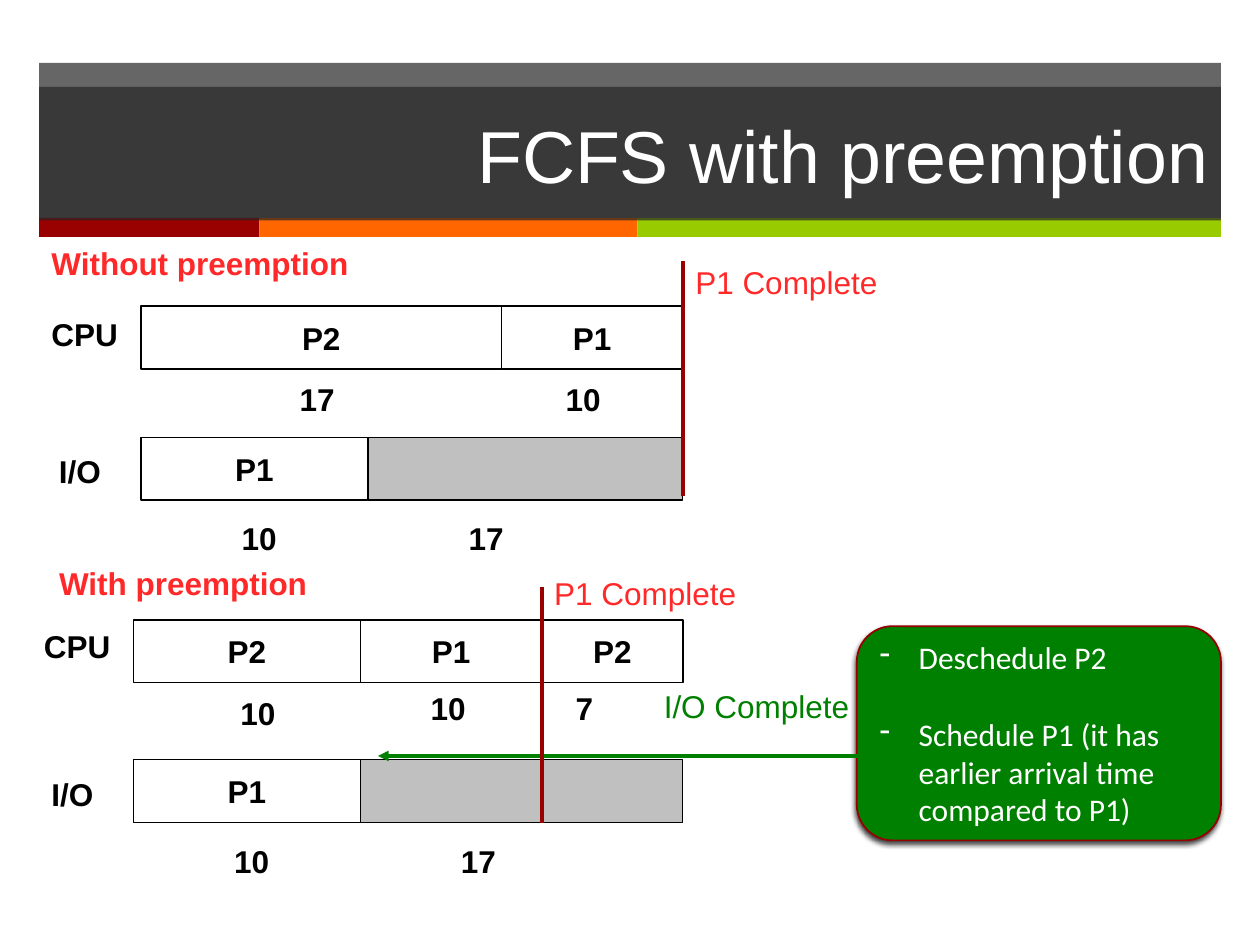
from lxml import etree
from pptx import Presentation, util as u
from pptx.dml.color import RGBColor
from pptx.enum import shapes as kinds, text as t
from pptx.oxml import parse_xml
from pptx.oxml.ns import qn

NS = 'xmlns:a="http://schemas.openxmlformats.org/drawingml/2006/main"'
WIDTH, HEIGHT = 10, 7.5
MARGIN, BAND_WIDTH = 0.31, 9.38
BAR_HEIGHT, LABEL_HEIGHT = 0.5, 0.4
BLACK, WHITE, RED, GREEN = "000000", "FFFFFF", "FF2929", "008000"
DARK, MAROON, GREY = "262626", "990000", "C0C0C0"

TITLE = "FCFS with preemption"
STRIPES = [(1.75, MAROON), (3, "FF6600"), (4.63, "99CC00")]
# Lane: name, name position, top, bars (text, width), durations (text, left, top)
TIMELINES = [
    dict(heading=("Without preemption", 0.31, 1.89, 2.58), left=1.12, lanes=[
        ("CPU", (0.31, 2.45, 0.73), 2.43, [("P2", 2.86), ("P1", 1.44)],
         [("17", 2.28, 2.97), ("10", 4.39, 2.97)]),
        ("I/O", (0.37, 3.54, 0.53), 3.47, [("P1", 1.8), ("", 2.5)],
         [("10", 1.82, 4.07), ("17", 3.62, 4.07)])]),
    dict(heading=("With preemption", 0.37, 4.43, 2.19), left=1.06, lanes=[
        ("CPU", (0.25, 4.93, 0.73), 4.92, [("P2", 1.8), ("P1", 1.44), ("P2", 1.12)],
         [("10", 1.81, 5.46), ("10", 3.32, 5.42), ("7", 4.47, 5.42)]),
        ("I/O", (0.31, 6.1, 0.53), 6.03, [("P1", 1.8), ("", 2.56)],
         [("10", 1.76, 6.63), ("17", 3.56, 6.63)])]),
]
COMPLETIONS = [(5.42, 2.07, 2.04), (4.3, 4.66, 4.51)]  # x, line top, label top
MARK_LENGTH = 1.87
ACTIONS = ["Deschedule P2", "Schedule P1 (it has earlier arrival time compared to P1)"]
ARROW_START = (6.81, 5.8)
ARROW_CURVES = [((6.21, 5.82), (4.78, 5.72), (4.13, 5.76)),
                ((3.47, 5.8), (3.02, 5.98), (2.86, 6.03))]


def color(value):
    return RGBColor.from_string(value)


def inches(*values):
    return [u.Inches(value) for value in values]


def write(para, words, ink=BLACK, **formats):
    span = para.add_run()
    span.text = words
    for name, value in (dict(name="Arial", size=u.Pt(18)) | formats).items():
        setattr(span.font, name, value)
    span.font.color.rgb = color(ink)


def paint(shape, fill=None, line=None, weight=0.75, alpha=None):
    if fill:
        shape.fill.solid()
        shape.fill.fore_color.rgb = color(fill)
    else:
        shape.fill.background()
    if alpha:
        tint = shape.fill._xPr.find(".//" + qn("a:srgbClr"))
        etree.SubElement(tint, qn("a:alpha")).set("val", str(alpha * 1000))
    if line:
        shape.line.color.rgb = color(line)
        shape.line.width = u.Pt(weight)
    else:
        shape.line.fill.background()


def add_box(page, place, kind=kinds.MSO_SHAPE.RECTANGLE, **look):
    box = page.shapes.add_shape(kind, *inches(*place))
    box.shadow.inherit = False
    paint(box, **look)
    return box


def add_label(page, words, left, top, width, ink=BLACK, bold=True, wrap=False):
    box = page.shapes.add_textbox(*inches(left, top, width, LABEL_HEIGHT))
    box.text_frame.word_wrap = wrap
    write(box.text_frame.paragraphs[0], words, ink, bold=bold)


def add_header(page):
    add_box(page, (MARGIN, 0.5, BAND_WIDTH, 1.24), fill=DARK, alpha=70)
    left = MARGIN
    for width, fill in STRIPES:
        add_box(page, (left, 1.73, width, 0.15), fill=fill)
        left += width
    title = page.shapes.title
    title.left, title.top, title.width, title.height = inches(MARGIN, 0.69, BAND_WIDTH, 1.06)
    paint(title, fill=DARK, alpha=70)
    title.text_frame.vertical_anchor = t.MSO_ANCHOR.MIDDLE
    para = title.text_frame.paragraphs[0]
    para.alignment = t.PP_ALIGN.RIGHT
    write(para, TITLE, WHITE, size=u.Pt(42))
    page.shapes._spTree.append(title._element)  # in front of the band and stripes


def add_timeline(page, heading, left, lanes):
    add_label(page, *heading, ink=RED)
    for name, name_place, top, bars, durations in lanes:
        add_label(page, name, *name_place)
        bar_left = left
        for words, width in bars:
            bar = add_box(page, (bar_left, top, width, BAR_HEIGHT),
                          fill=None if words else GREY, line=BLACK)
            bar_left += width
            if words:
                frame = bar.text_frame
                frame.word_wrap = False
                frame.vertical_anchor = t.MSO_ANCHOR.MIDDLE
                frame.paragraphs[0].alignment = t.PP_ALIGN.CENTER
                write(frame.paragraphs[0], words, bold=True)
        for words, x, y in durations:
            add_label(page, words, x, y, 0.34 if len(words) == 1 else 0.48)


def add_callout(page):
    box = add_box(page, (6.8, 4.97, 2.89, 1.7), kinds.MSO_SHAPE.ROUNDED_RECTANGLE,
                  fill=GREEN, line="960000", weight=1)
    box._element.spPr.find(qn("a:effectLst")).append(parse_xml(
        f'<a:outerShdw {NS} blurRad="38100" dist="25400" dir="6600000" rotWithShape="0">'
        '<a:srgbClr val="000000"><a:alpha val="75000"/></a:srgbClr></a:outerShdw>'))
    frame = box.text_frame
    frame.word_wrap = True
    frame.vertical_anchor = t.MSO_ANCHOR.MIDDLE
    for number, words in enumerate(ACTIONS):
        para = frame.add_paragraph() if number else frame.paragraphs[0]
        props = para._p.get_or_add_pPr()
        props.set("marL", str(u.Inches(0.31)))
        props.set("indent", str(-u.Inches(0.31)))
        etree.SubElement(props, qn("a:buChar")).set("char", "-")
        para.alignment = t.PP_ALIGN.LEFT
        if number:
            para.space_before = u.Pt(22)
        write(para, words, WHITE, name="Calibri")


def curve_points(start, curves, steps=16):
    """Return points along a chain of cubic Bézier curves, without the start."""
    points = []
    for first, second, end in curves:
        for step in range(1, steps + 1):
            s = step / steps
            weights = ((1 - s) ** 3, 3 * s * (1 - s) ** 2, 3 * s * s * (1 - s), s ** 3)
            corners = (start, first, second, end)
            points.append(tuple(sum(w * c[axis] for w, c in zip(weights, corners))
                                for axis in (0, 1)))
        start = end
    return points


def add_arrow(page):
    builder = page.shapes.build_freeform(*ARROW_START, scale=u.Inches(1))
    builder.add_line_segments(curve_points(ARROW_START, ARROW_CURVES), close=False)
    arrow = builder.convert_to_shape()
    arrow.shadow.inherit = False
    paint(arrow, line=GREEN, weight=2)
    etree.SubElement(arrow.line._get_or_add_ln(), qn("a:tailEnd")).set("type", "triangle")


def add_completion(page, x, top, label_top):
    mark = page.shapes.add_connector(kinds.MSO_CONNECTOR.STRAIGHT,
                                     *inches(x, top + MARK_LENGTH, x, top))
    mark.line.color.rgb = color(MAROON)
    mark.line.width = u.Pt(2)
    etree.SubElement(mark._element.spPr, qn("a:effectLst"))
    add_label(page, "P1 Complete", x, label_top, 1.76, RED, bold=False, wrap=True)


def main():
    deck = Presentation()
    deck.slide_width, deck.slide_height = inches(WIDTH, HEIGHT)
    page = deck.slides.add_slide(deck.slide_layouts.get_by_name("Title Only"))
    add_header(page)
    for timeline in TIMELINES:
        add_timeline(page, **timeline)
    add_callout(page)
    add_arrow(page)
    add_label(page, "I/O Complete", 5.17, 5.4, 1.76, GREEN, bold=False, wrap=True)
    for completion in COMPLETIONS:
        add_completion(page, *completion)
    deck.save("out.pptx")


if __name__ == "__main__":
    main()
